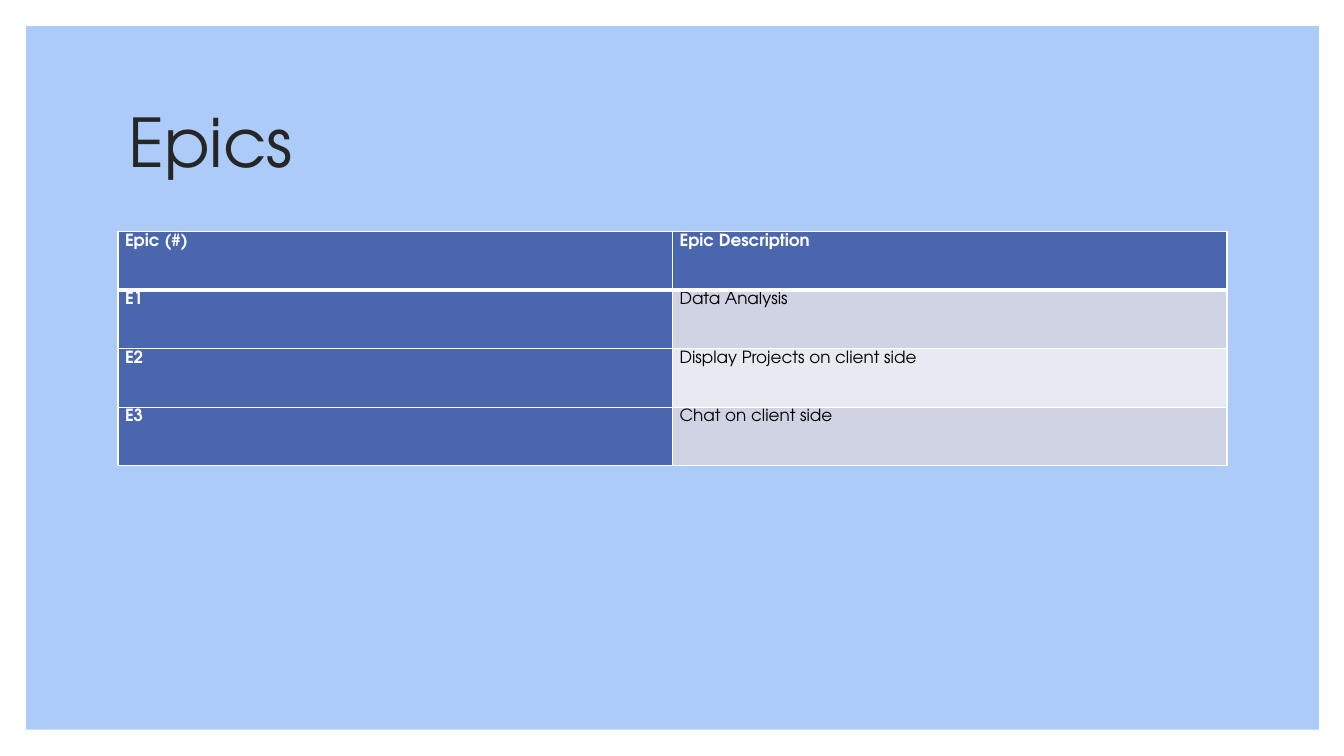
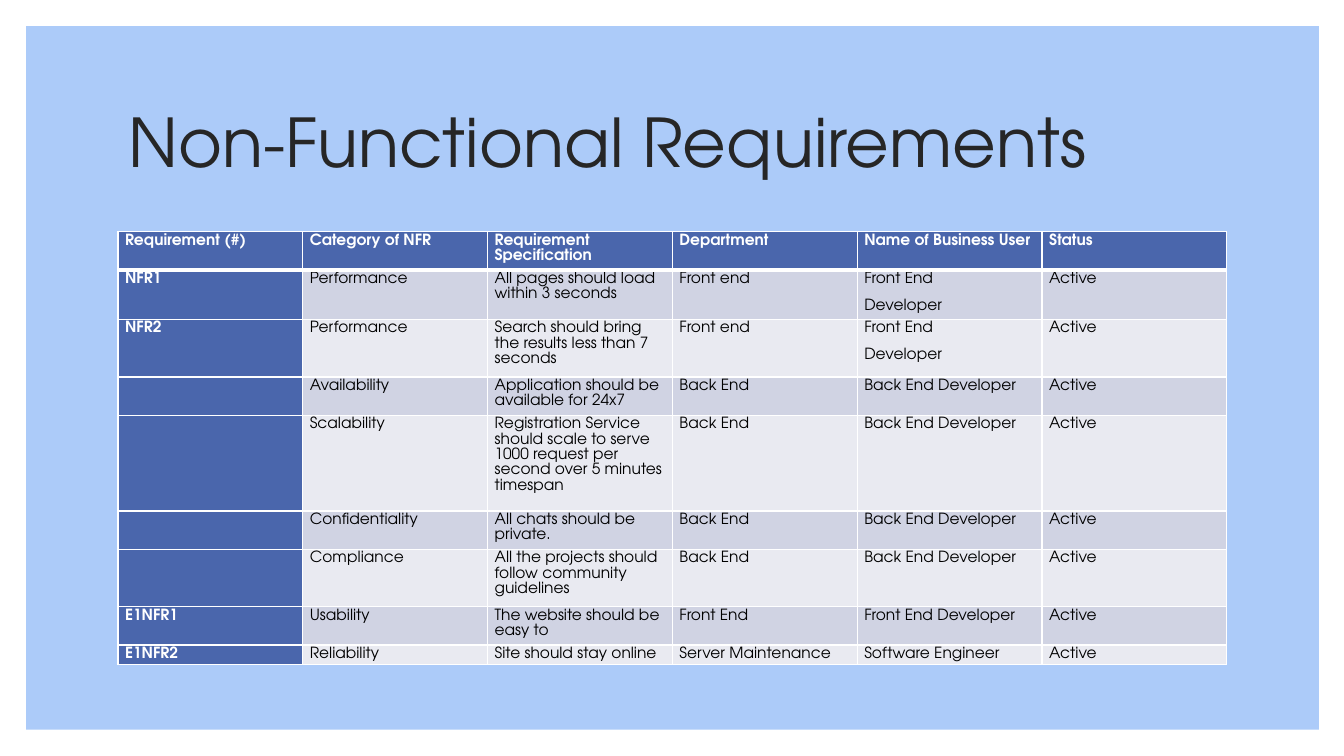
from lxml.etree import SubElement
from pptx import Presentation
from pptx.dml.color import RGBColor
from pptx.enum.shapes import MSO_SHAPE
from pptx.enum.text import MSO_ANCHOR, MSO_AUTO_SIZE, PP_ALIGN
from pptx.oxml.ns import qn
from pptx.util import Pt

FONT = "TeX Gyre Adventor"
SKY, BLUE, WHITE, BLACK, INK = "ACCBF9", "4A66AC", "FFFFFF", "000000", "262626"
BANDS = ("D0D3E3", "E9EAF1")

SLIDE_SIZE = (1333, 750)
PANEL = (26, 26, 1282, 698)
TITLE = (117, 70, 1100, 150)
TABLE_LEFT, TABLE_TOP, TABLE_WIDTH = 117, 230, 1100
MARGINS = {"margin_left": 7, "margin_top": 1, "margin_right": 7, "margin_bottom": 0}

BACK = ("Back End", "Back End Developer", "Active")
FRONT = ("Front end", "Front End\nDeveloper", "Active")

SLIDES = [
    {
        "title": "Epics",
        "size": 12,
        "heights": [58] * 4,
        "rows": [
            ("Epic (#)", "Epic Description"),
            ("E1", "Data Analysis"),
            ("E2", "Display Projects on client side"),
            ("E3", "Chat on client side"),
        ],
    },
    {
        "title": "Non-Functional Requirements",
        "size": 11,
        "heights": [38, 49, 57, 38, 95, 38, 57, 38, 19],
        "rows": [
            ("Requirement (#)", "Category of NFR", "Requirement Specification",
             "Department", "Name of Business User", "Status"),
            ("NFR1", "Performance", "All pages should load within 3 seconds", *FRONT),
            ("NFR2", "Performance",
             "Search should bring the results less than 7 seconds", *FRONT),
            ("", "Availability", "Application should be available for 24x7", *BACK),
            ("", "Scalability",
             "Registration Service should scale to serve 1000 request per second "
             "over 5 minutes timespan", *BACK),
            ("", "Confidentiality", "All chats should be private.", *BACK),
            ("", "Compliance",
             "All the projects should follow community guidelines", *BACK),
            ("E1NFR1", "Usability", "The website should be easy to",
             "Front End", "Front End Developer", "Active"),
            ("E1NFR2", "Reliability", "Site should stay online",
             "Server Maintenance", "Software Engineer", "Active"),
        ],
    },
]


def px(n):
    """Convert px, 100 to the inch, into EMU."""
    return int(n * 9144)


def rgb(value):
    return RGBColor.from_string(value)


def place(shape, box):
    for name, n in zip(("left", "top", "width", "height"), box):
        setattr(shape, name, px(n))


def set_font(font, size, color, bold=False):
    for name, value in {"name": FONT, "size": Pt(size), "bold": bold}.items():
        setattr(font, name, value)
    font.color.rgb = rgb(color)


def set_borders(cell, top, bottom):
    tc_pr = cell._tc.get_or_add_tcPr()
    for side, points in (("L", 1), ("R", 1), ("T", top), ("B", bottom)):
        line = SubElement(tc_pr, qn(f"a:ln{side}"), w=str(Pt(points)))
        fill = SubElement(line, qn("a:solidFill"))
        SubElement(fill, qn("a:srgbClr"), val=WHITE)


def add_panel(s, layout):
    """Draw the background panel and hand it to the layout, behind everything."""
    panel = s.shapes.add_shape(MSO_SHAPE.RECTANGLE, *map(px, PANEL))
    panel.shadow.inherit = False
    panel.fill.solid()
    panel.fill.fore_color.rgb = rgb(SKY)
    panel.line.fill.background()
    layout.shapes.element.insert(2, panel.element)


def add_title(s, text):
    tf = s.shapes.title.text_frame
    tf.text = text
    tf.auto_size = MSO_AUTO_SIZE.NONE
    tf.vertical_anchor = MSO_ANCHOR.MIDDLE
    p = tf.paragraphs[0]
    p.alignment = PP_ALIGN.LEFT
    p.line_spacing = 0.9
    set_font(p.runs[0].font, 48, INK)


def fill_cell(cell, text, row, col, size):
    header = row == 0
    strong = header or col == 0
    for name, n in MARGINS.items():
        setattr(cell, name, px(n))
    set_borders(cell, 3 if row == 1 else 1, 3 if header else 1)
    cell.fill.solid()
    cell.fill.fore_color.rgb = rgb(BLUE if strong else BANDS[(row - 1) % 2])
    cell.text = text
    for p in cell.text_frame.paragraphs:
        p.line_spacing = 1.07
        p.space_after = Pt(8)
        for r in p.runs:
            set_font(r.font, size, WHITE if strong else BLACK, strong)


def add_grid(s, rows, heights, size):
    cols = len(rows[0])
    box = (TABLE_LEFT, TABLE_TOP, TABLE_WIDTH, sum(heights))
    table = s.shapes.add_table(len(rows), cols, *map(px, box)).table
    for column in table.columns:
        column.width = px(TABLE_WIDTH / cols)
    for i, (texts, height) in enumerate(zip(rows, heights)):
        table.rows[i].height = px(height)
        for j, text in enumerate(texts):
            fill_cell(table.cell(i, j), text, i, j, size)


def main():
    prs = Presentation()
    prs.slide_width, prs.slide_height = map(px, SLIDE_SIZE)
    layout = prs.slide_layouts.get_by_name("Title Only")
    place(layout.placeholders[0], TITLE)
    for n, content in enumerate(SLIDES):
        s = prs.slides.add_slide(layout)
        if n == 0:
            add_panel(s, layout)
        add_title(s, content["title"])
        add_grid(s, content["rows"], content["heights"], content["size"])
    prs.save("out.pptx")


if __name__ == "__main__":
    main()
